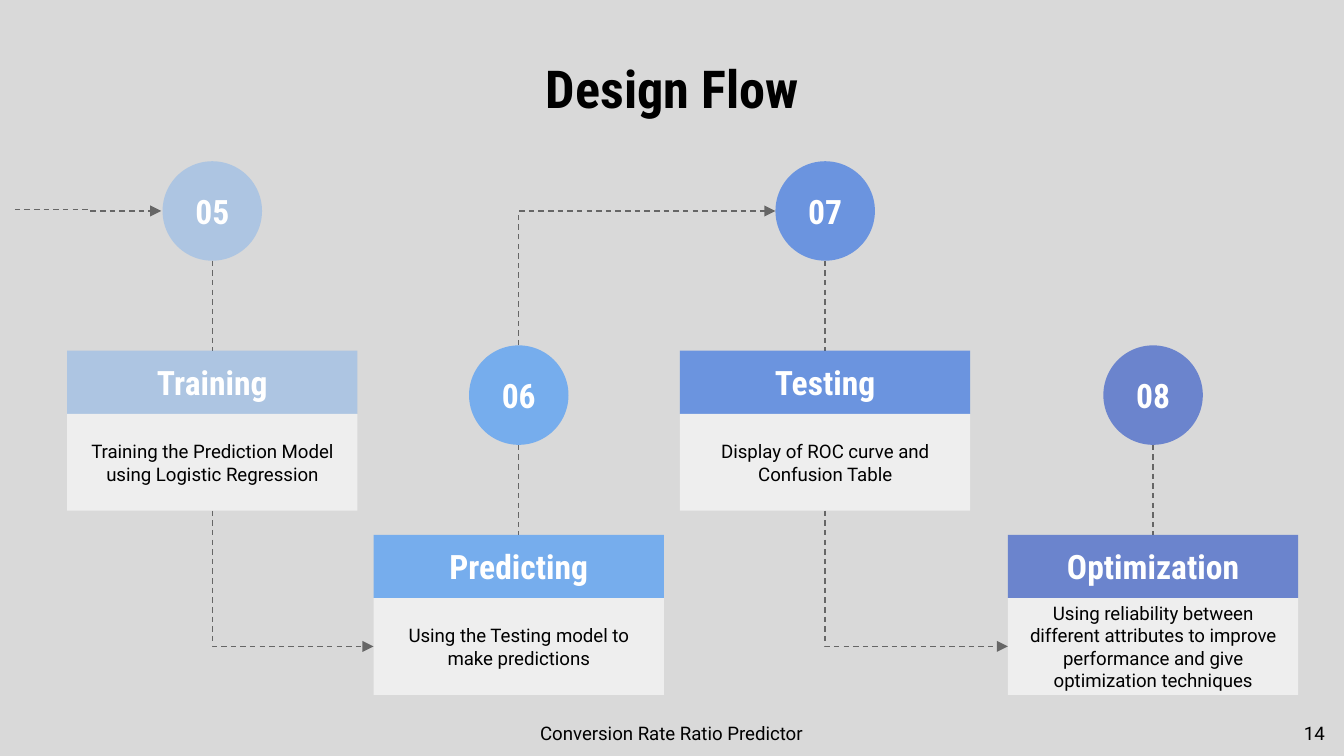
from lxml import etree
from pptx import Presentation
from pptx.dml.color import RGBColor
from pptx.enum.dml import MSO_LINE
from pptx.enum.shapes import MSO_CONNECTOR, MSO_SHAPE
from pptx.enum.text import MSO_ANCHOR, PP_ALIGN
from pptx.oxml.ns import qn
from pptx.util import Inches, Pt

RECTANGLE, OVAL = MSO_SHAPE.RECTANGLE, MSO_SHAPE.OVAL
STRAIGHT, ELBOW = MSO_CONNECTOR.STRAIGHT, MSO_CONNECTOR.ELBOW
MIDDLE, TOP = MSO_ANCHOR.MIDDLE, MSO_ANCHOR.TOP
CENTER = PP_ALIGN.CENTER
DASH = MSO_LINE.DASH
HEADING, BODY = "Roboto Condensed", "Roboto"
COLORS = {
    "background": "D9D9D9", "panel": "EEEEEE", "line": "666666",
    "black": "000000", "white": "FFFFFF",
    "sky": "2A8BFD", "blue": "155FE5", "indigo": "1642C5",
}


def write(shape, text, size, font, color, anchor=MIDDLE):
    frame = shape.text_frame
    frame.word_wrap = True
    frame.vertical_anchor = anchor
    frame.margin_left = frame.margin_right = Inches(0.1)
    frame.margin_top = frame.margin_bottom = Inches(0.1)
    paragraph = frame.paragraphs[0]
    paragraph.text = text
    paragraph.alignment = CENTER
    paragraph.font.size = Pt(size)
    paragraph.font.name = font
    paragraph.font.bold = font == HEADING
    paragraph.font.color.rgb = RGBColor.from_string(COLORS[color])


def connect(slide, kind, x1, y1, x2, y2):
    connector = slide.shapes.add_connector(
        kind, Inches(x1), Inches(y1), Inches(x2), Inches(y2))
    connector.line.color.rgb = RGBColor.from_string(COLORS["line"])
    connector.line.width = Pt(0.75)
    connector.line.dash_style = DASH
    properties = connector._element.spPr
    if kind == ELBOW:
        etree.SubElement(properties.find(qn("a:ln")), qn("a:tailEnd"), type="triangle")
    etree.SubElement(properties, qn("a:effectLst"))
    return connector


# Widescreen slide, 16 to 9
presentation = Presentation()
presentation.slide_width = Inches(10)
presentation.slide_height = Inches(10) * 9 // 16
slide = presentation.slides.add_slide(presentation.slide_layouts[5])
slide.background.fill.solid()
slide.background.fill.fore_color.rgb = RGBColor.from_string(COLORS["background"])

# Title
title = slide.shapes.title
title.left, title.top = Inches(0.5), Inches(0.45)
title.width, title.height = Inches(9), Inches(0.41)
write(title, "Design Flow", 28, HEADING, "black")

# Stages: number circle, dashed stem, header and description
CARD_WIDTH, HEADER_HEIGHT, BODY_HEIGHT, CIRCLE = 2.16, 0.47, 0.72, 0.74
HEADER_DROP = 1.41
HIGH, LOW = 1.2, 2.57
stages = [
    ("05", "Training", "Training the Prediction Model using Logistic Regression",
     0.5, HIGH, "sky", 25),
    ("06", "Predicting", "Using the Testing model to make predictions",
     2.78, LOW, "sky", 56),
    ("07", "Testing", "Display of ROC curve and Confusion Table",
     5.06, HIGH, "blue", 56),
    ("08", "Optimization", "Using reliability between different attributes to improve "
     "performance and give optimization techniques",
     7.5, LOW, "indigo", 56),
]
for number, name, description, left, top, color, opacity in stages:
    center = left + CARD_WIDTH / 2
    header_top = top + HEADER_DROP
    connect(slide, STRAIGHT, center, top + CIRCLE, center, header_top)
    parts = [
        (RECTANGLE, left, header_top, CARD_WIDTH, HEADER_HEIGHT,
         name, 18, HEADING, "white", color, opacity),
        (RECTANGLE, left, header_top + HEADER_HEIGHT, CARD_WIDTH, BODY_HEIGHT,
         description, 10, BODY, "black", "panel", 100),
        (OVAL, center - CIRCLE / 2, top, CIRCLE, CIRCLE,
         number, 18, HEADING, "white", color, opacity),
    ]
    for kind, x, y, width, height, text, size, font, ink, fill, alpha in parts:
        shape = slide.shapes.add_shape(
            kind, Inches(x), Inches(y), Inches(width), Inches(height))
        shape.shadow.inherit = False
        shape.line.fill.background()
        shape.fill.solid()
        shape.fill.fore_color.rgb = RGBColor.from_string(COLORS[fill])
        if alpha < 100:
            tint = shape._element.spPr.find(qn("a:solidFill"))[0]
            etree.SubElement(tint, qn("a:alpha"), val=str(alpha * 1000))
        write(shape, text, size, font, ink)

# Arrow arriving from the previous slide
connect(slide, ELBOW, 0.11, 1.56, 1.2, 1.57)

# Arrows between stages: vertical first, then right to the next stage
for x1, y1, x2, y2 in [
    (1.58, 3.8, 2.78, 4.81),
    (3.86, 2.57, 5.77, 1.57),
    (6.14, 3.8, 7.5, 4.81),
]:
    arrow = connect(slide, ELBOW, x1, y1, x2, y2)
    across, rise = x2 - x1, abs(y2 - y1)
    # The box is turned a quarter, so its width is the vertical run
    arrow.left = Inches((x1 + x2 - rise) / 2)
    arrow.top = Inches((y1 + y2 - across) / 2)
    arrow.width, arrow.height = Inches(rise), Inches(across)
    properties = arrow._element.spPr
    properties.find(qn("a:prstGeom")).set("prst", "bentConnector2")
    transform = properties.find(qn("a:xfrm"))
    transform.set("rot", "16200000")
    transform.set("flipH", "1" if y2 > y1 else "0")
    transform.set("flipV", "0")

# Footer and slide number
for text, left, width in [("Conversion Rate Ratio Predictor", 3.34, 3.31),
                          ("14", 9.48, 0.6)]:
    box = slide.shapes.add_textbox(Inches(left), Inches(5.29), Inches(width), Inches(0.43))
    write(box, text, 10, BODY, "black", TOP)

presentation.save("out.pptx")
